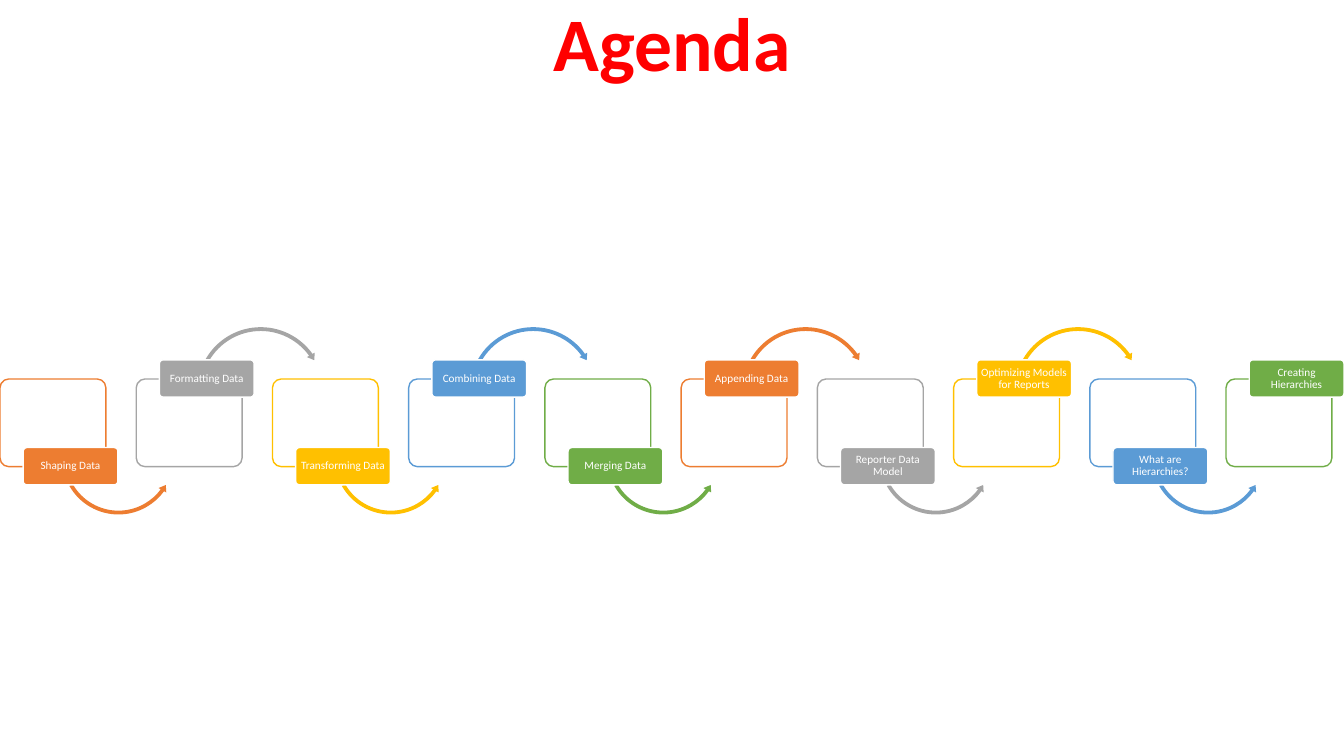
from lxml.etree import SubElement
from pptx import Presentation
from pptx.dml.color import RGBColor
from pptx.enum.shapes import MSO_SHAPE
from pptx.enum.text import MSO_ANCHOR, PP_ALIGN
from pptx.oxml.ns import qn
from pptx.util import Inches, Pt

WIDTH, HEIGHT = 13.33, 7.5
COLORS = {
    "title": "FF0000",
    "white": "FFFFFF",
    "orange": "ED7D31",
    "gray": "A5A5A5",
    "gold": "FFC000",
    "blue": "5B9BD5",
    "green": "70AD47",
}
CYCLE = ["orange", "gray", "gold", "blue", "green"]
TOPICS = [
    "Shaping Data",
    "Formatting Data",
    "Transforming Data",
    "Combining Data",
    "Merging Data",
    "Appending Data",
    "Reporter Data Model",
    "Optimizing Models for Reports",
    "What are Hierarchies?",
    "Creating Hierarchies",
]
STEP_W = 1.17
FRAME = (0, 0, 1.05, 0.87)
# Label and arrow boxes are offsets from the frame's top left corner.
LOW = {
    "label": (0.23, 0.68, 0.94, 0.37),
    "arrow": (0.59, 0.2, 1.17, 1.17),
    "kind": MSO_SHAPE.LEFT_CIRCULAR_ARROW,
    "bend": (0.032, 3.979, 21.734, 90.245, 0.038),
}
HIGH = {
    "label": (0.23, -0.19, 0.94, 0.37),
    "arrow": (0.58, -0.54, 1.31, 1.31),
    "kind": MSO_SHAPE.CIRCULAR_ARROW,
    "bend": (0.029, 3.541, 194.704, 125.755, 0.034),
}


def color(name):
    return RGBColor.from_string(COLORS[name])


def assign(item, values):
    for key, value in values.items():
        setattr(item, key, value)


def write(shape, text, size, tone, bold=False, after=0):
    frame = shape.text_frame
    frame.text = text
    assign(frame, {"word_wrap": True, "vertical_anchor": MSO_ANCHOR.MIDDLE})
    para = frame.paragraphs[0]
    assign(para, {"alignment": PP_ALIGN.CENTER, "line_spacing": 0.9,
                  "space_before": Pt(0), "space_after": Pt(after)})
    font = para.runs[0].font
    assign(font, {"name": "Calibri", "size": Pt(size), "bold": bold})
    font.color.rgb = color(tone)


def add_part(group, kind, left, top, box, bend, fill, line=None):
    """Add a filled shape whose box is offset from left and top."""
    x, y, width, height = box
    part = group.shapes.add_shape(kind, Inches(left + x), Inches(top + y),
                                  Inches(width), Inches(height))
    part.shadow.inherit = False
    for index, value in enumerate(bend):
        part.adjustments[index] = value
    part.fill.solid()
    part.fill.fore_color.rgb = color(fill)
    if line:
        part.line.color.rgb = color(line)
        part.line.width = Pt(1)
    else:
        part.line.fill.background()
    return part


def add_step(group, left, top, text, tone, side, last):
    card = add_part(group, MSO_SHAPE.ROUNDED_RECTANGLE, left, top, FRAME,
                    [0.1], "white", tone)
    shade = card.fill._xPr.find(".//" + qn("a:srgbClr"))
    SubElement(shade, qn("a:alpha"), val="90000")
    if not last:
        add_part(group, side["kind"], left, top, side["arrow"],
                 side["bend"], tone)
    label = add_part(group, MSO_SHAPE.ROUNDED_RECTANGLE, left, top,
                     side["label"], [0.1], tone, "white")
    assign(label.text_frame, {
        "margin_left": Inches(0.02), "margin_right": Inches(0.02),
        "margin_top": Inches(0.01), "margin_bottom": Inches(0.01)})
    write(label, text, 8, "white", after=2.8)


def add_flow(slide, left, top, width):
    group = slide.shapes.add_group_shape()
    pitch = (width - STEP_W) / (len(TOPICS) - 1)
    for index, text in enumerate(TOPICS):
        add_step(group, left + index * pitch, top, text,
                 CYCLE[index % len(CYCLE)], HIGH if index % 2 else LOW,
                 index == len(TOPICS) - 1)


def add_title(slide, left, top, width, height):
    title = slide.shapes.title
    assign(title, {"left": Inches(left), "top": Inches(top),
                   "width": Inches(width), "height": Inches(height)})
    write(title, "Agenda", 54, "title", bold=True)


def main():
    deck = Presentation()
    assign(deck, {"slide_width": Inches(WIDTH),
                  "slide_height": Inches(HEIGHT)})
    slide = deck.slides.add_slide(deck.slide_layouts[5])
    add_title(slide, 0, 0.02, WIDTH, 0.89)
    add_flow(slide, 0, 3.76, WIDTH)
    deck.save("out.pptx")


if __name__ == "__main__":
    main()
